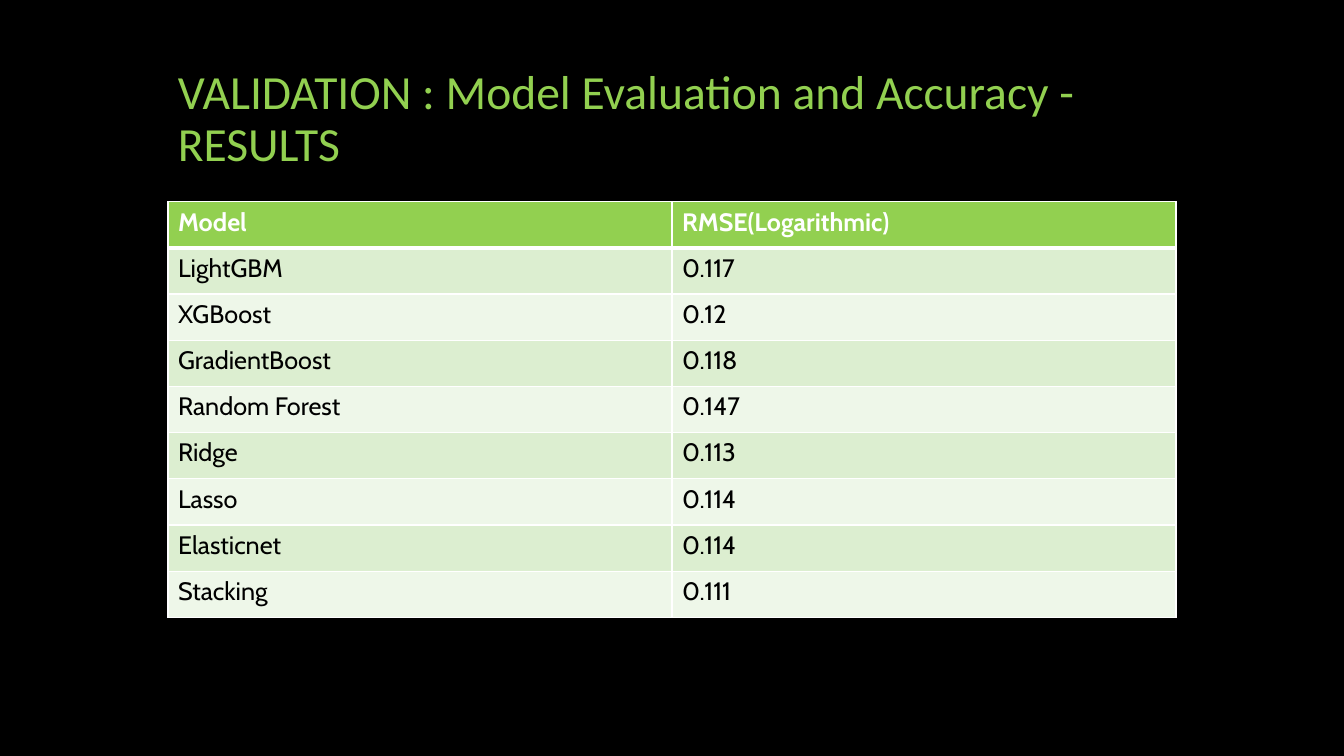
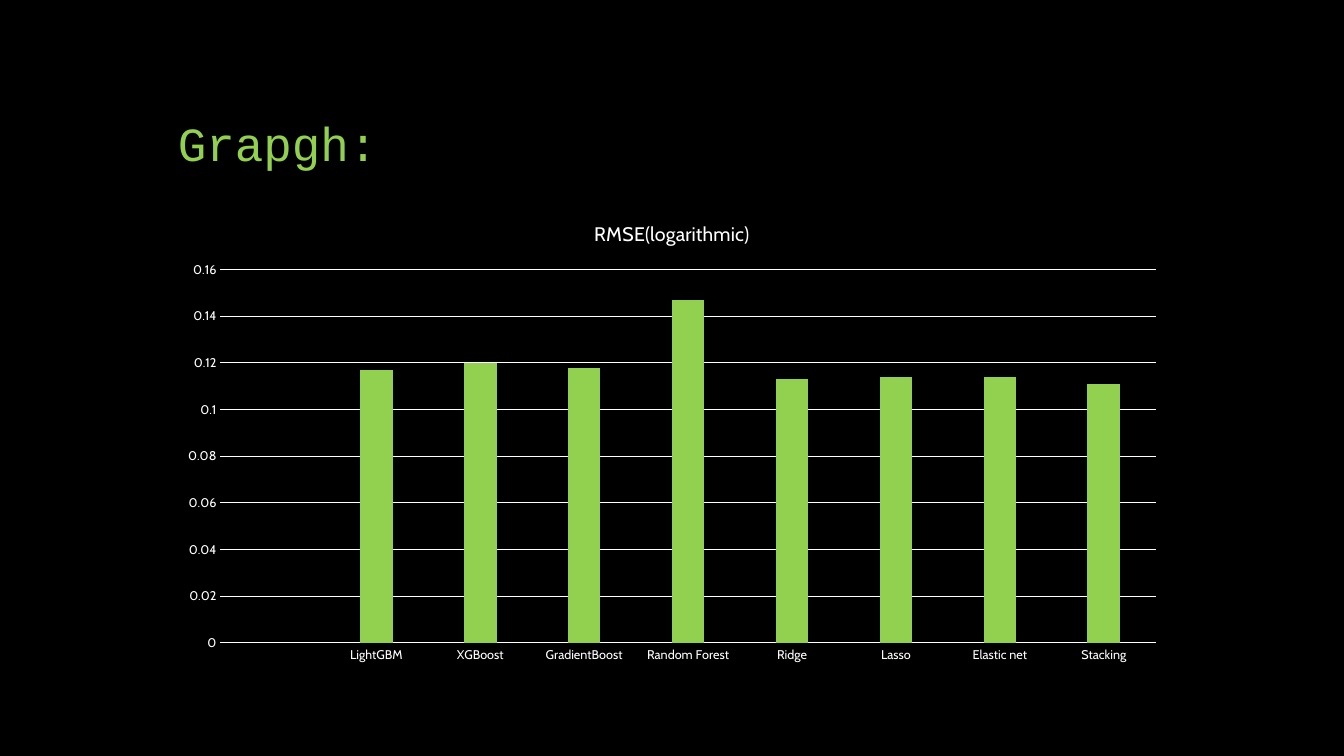
from lxml.etree import SubElement
from pptx import Presentation
from pptx.chart.data import CategoryChartData as ChartData
from pptx.dml.color import RGBColor as Rgb
from pptx.enum.chart import XL_CHART_TYPE as ChartType, XL_TICK_MARK as Tick
from pptx.enum.text import MSO_ANCHOR as Anchor
from pptx.oxml.ns import qn
from pptx.util import Pt

EMU_PER_PX = 9525
COLORS = {
    "background": "000000",
    "accent": "92D050",
    "light": "FFFFFF",
    "dark": "000000",
    "band_odd": "DCEED0",
    "band_even": "EEF7E9",
}
BODY_FONT = "Cabin"
LEFT, WIDTH, BODY_TOP = 160, 960, 192

SCORES = [
    ("LightGBM", 0.117),
    ("XGBoost", 0.12),
    ("GradientBoost", 0.118),
    ("Random Forest", 0.147),
    ("Ridge", 0.113),
    ("Lasso", 0.114),
    ("Elasticnet", 0.114),
    ("Stacking", 0.111),
]
CHART_LABELS = {"Elasticnet": "Elastic net"}


def px(*lengths):
    return [length * EMU_PER_PX for length in lengths]


def rgb(name):
    return Rgb.from_string(COLORS[name])


def assign(target, **values):
    for name, value in values.items():
        setattr(target, name, value)


class SlideBuilder:
    """Holds the shared style and the slide being built."""

    def __init__(self):
        self.deck = Presentation()
        self.deck.slide_width, self.deck.slide_height = px(1280, 720)
        self.paint(self.deck.slide_master.background.fill, "background")
        self.slide = None

    def paint(self, fill, color):
        fill.solid()
        fill.fore_color.rgb = rgb(color)

    def style(self, font, size, color, name=BODY_FONT, bold=False):
        assign(font, size=Pt(size), name=name, bold=bold)
        font.color.rgb = rgb(color)

    def rule(self, line, color="light", width=0.75):
        self.paint(line.fill, color)
        line.width = Pt(width)

    def new_slide(self, title, title_font):
        self.slide = self.deck.slides.add_slide(self.deck.slide_layouts[6])
        box = self.slide.shapes.add_textbox(*px(LEFT, 48, WIDTH, 120))
        assign(box.text_frame, word_wrap=True, vertical_anchor=Anchor.BOTTOM)
        para = box.text_frame.paragraphs[0]
        para.line_spacing = 0.9
        span = para.add_run()
        span.text = title
        self.style(span.font, 34, "accent", title_font)

    def border(self, cell, widths):
        properties = cell._tc.get_or_add_tcPr()
        for side, width in zip("LRTB", widths):
            line = SubElement(properties, qn(f"a:ln{side}"), w=str(Pt(width)))
            fill = SubElement(line, qn("a:solidFill"))
            SubElement(fill, qn("a:srgbClr"), val=COLORS["light"])

    def table(self, rows, row_height):
        size = len(rows), len(rows[0])
        area = px(LEFT, BODY_TOP, WIDTH, row_height * len(rows))
        table = self.slide.shapes.add_table(*size, *area).table
        for row_index, row in enumerate(rows):
            header = row_index == 0
            band = "band_odd" if row_index % 2 else "band_even"
            top, bottom = 3 if row_index == 1 else 1, 3 if header else 1
            for column_index, value in enumerate(row):
                cell = table.cell(row_index, column_index)
                self.border(cell, (1, 1, top, bottom))
                self.paint(cell.fill, "accent" if header else band)
                span = cell.text_frame.paragraphs[0].add_run()
                span.text = str(value)
                self.style(span.font, 18, "light" if header else "dark", bold=header)

    def column_chart(self, title, categories, values, height):
        data = ChartData()
        data.categories = categories
        data.add_series(title, values)
        chart = self.slide.shapes.add_chart(
            ChartType.COLUMN_CLUSTERED, *px(LEFT, BODY_TOP, WIDTH, height), data
        ).chart
        assign(chart, has_legend=False, has_title=True)
        self.style(chart.font, 10, "light")
        span = chart.chart_title.text_frame.paragraphs[0].add_run()
        span.text = title
        self.style(span.font, 14, "light")
        chart.chart_title.include_in_layout = False

        plot = chart.plots[0]
        assign(plot, gap_width=219, overlap=-27, vary_by_categories=False)
        self.paint(plot.series[0].format.fill, "accent")

        for axis in (chart.category_axis, chart.value_axis):
            assign(axis, major_tick_mark=Tick.NONE, minor_tick_mark=Tick.NONE)
            self.style(axis.tick_labels.font, 9, "light")
        self.rule(chart.category_axis.format.line)
        assign(
            chart.value_axis,
            minimum_scale=0,
            maximum_scale=0.16,
            major_unit=0.02,
            has_major_gridlines=True,
        )
        chart.value_axis.format.line.fill.background()
        self.rule(chart.value_axis.major_gridlines.format.line)


def main():
    builder = SlideBuilder()

    builder.new_slide("VALIDATION : Model Evaluation and Accuracy - RESULTS", "Calibri")
    builder.table([("Model", "RMSE(Logarithmic)"), *SCORES], 44)

    builder.new_slide("Grapgh:", "Courier New")
    names = [CHART_LABELS.get(model, model) for model, _ in SCORES]
    values = [score for _, score in SCORES]
    builder.column_chart("RMSE(logarithmic)", ["", *names], [None, *values], 448)

    builder.deck.save("out.pptx")


if __name__ == "__main__":
    main()
